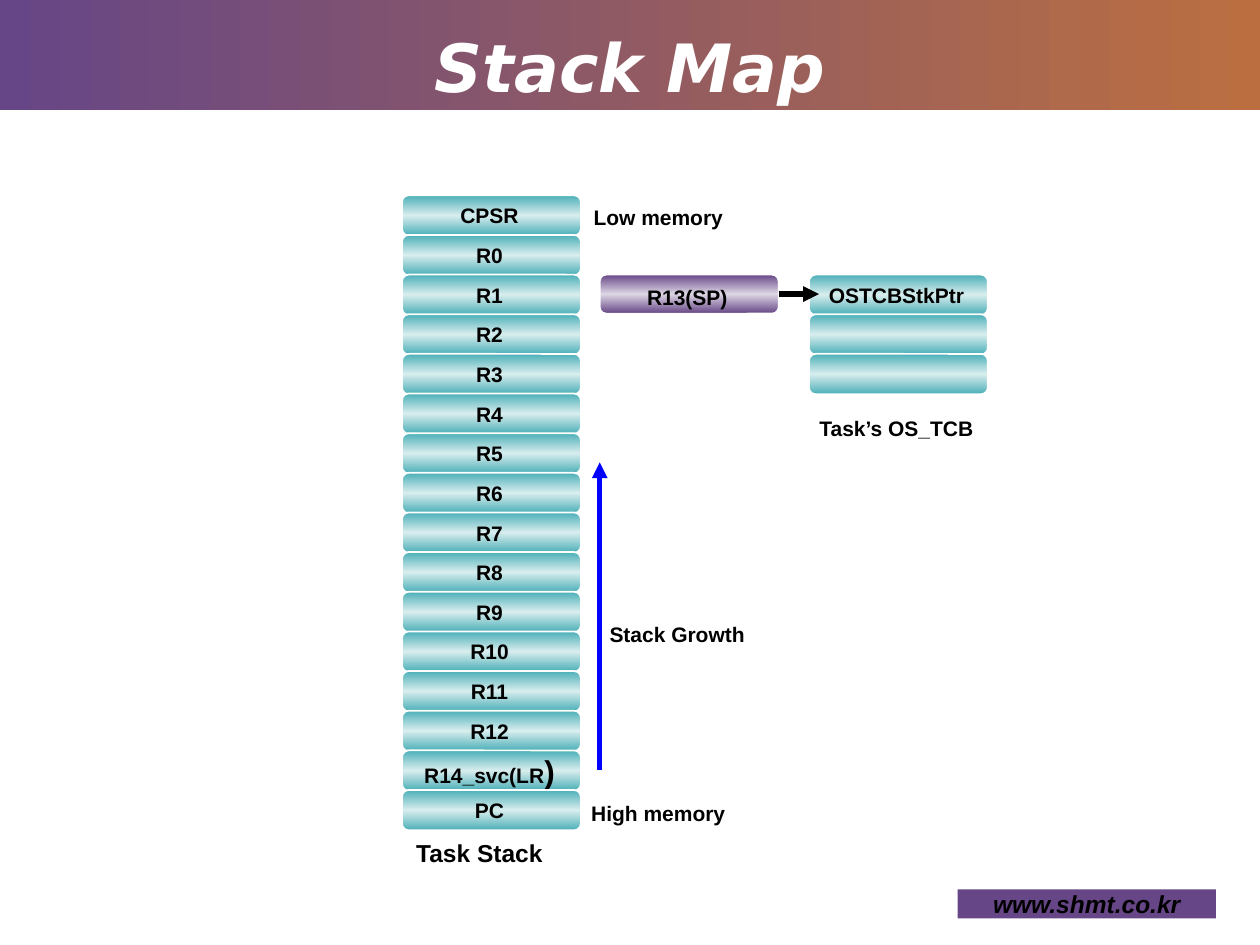
"""Build the Stack Map slide: a task stack, its stack pointer and the task's OS_TCB."""
from lxml import etree
from pptx import Presentation
from pptx.dml.color import RGBColor
from pptx.enum.shapes import MSO_CONNECTOR, MSO_SHAPE
from pptx.enum.text import MSO_ANCHOR, PP_ALIGN
from pptx.oxml import parse_xml
from pptx.oxml.ns import nsdecls, qn
from pptx.util import Inches, Pt

RECT = MSO_SHAPE.RECTANGLE
ROUNDED = MSO_SHAPE.ROUNDED_RECTANGLE
STRAIGHT = MSO_CONNECTOR.STRAIGHT
CENTER = PP_ALIGN.CENTER
MIDDLE = MSO_ANCHOR.MIDDLE

COLORS = {
    "teal": "4BAFB7", "teal_light": "D8EDEE",
    "purple": "664686", "purple_light": "DDD6E4",
    "orange": "BB6F41", "blue": "0000FF",
    "black": "000000", "white": "FFFFFF",
}
TEAL_BAND = ["teal", "teal_light", "teal"]
PURPLE_BAND = ["purple", "purple_light", "purple"]

prs = Presentation()
prs.slide_width, prs.slide_height = Inches(10), Inches(7.5)
slide = prs.slides.add_slide(prs.slide_layouts[6])
shapes = slide.shapes


def write(shape, *runs, size=12, font="Arial", color="black", italic=False,
          right=0, top=0):
    """Fill a shape with centred bold runs, each a string or a (string, size) pair."""
    frame = shape.text_frame
    frame.word_wrap = True
    frame.vertical_anchor = MIDDLE
    frame.margin_left = frame.margin_bottom = 0
    frame.margin_right, frame.margin_top = Inches(right), Inches(top)
    paragraph = frame.paragraphs[0]
    paragraph.alignment = CENTER
    for item in runs:
        text, points = (item, size) if isinstance(item, str) else item
        run = paragraph.add_run()
        run.text = text
        run.font.size = Pt(points)
        run.font.name = font
        run.font.bold = True
        run.font.italic = italic
        run.font.color.rgb = RGBColor.from_string(COLORS[color])
    return paragraph


def add_band(kind, left, top, width, height, stops, angle=90):
    """Add a shape with evenly spaced gradient stops; rounded ones get a white edge."""
    shape = shapes.add_shape(kind, Inches(left), Inches(top), Inches(width), Inches(height))
    shape.shadow.inherit = False
    if kind == ROUNDED:
        shape.line.color.rgb = RGBColor.from_string(COLORS["white"])
        shape.line.width = Pt(1)
    else:
        shape.line.fill.background()
    stop_xml = "".join(
        f'<a:gs pos="{100000 * i // (len(stops) - 1)}"><a:srgbClr val="{COLORS[name]}"/></a:gs>'
        for i, name in enumerate(stops))
    gradient = parse_xml(
        f'<a:gradFill {nsdecls("a")} rotWithShape="1"><a:gsLst>{stop_xml}</a:gsLst>'
        f'<a:lin ang="{angle * 60000}" scaled="0"/></a:gradFill>')
    shape._element.spPr.find(qn("a:prstGeom")).addnext(gradient)
    return shape


add_band(RECT, 0, 0, 10, 0.87, ["purple", "orange"], angle=0)
title = shapes.add_textbox(Inches(0), Inches(-0.11), Inches(10), Inches(1.26))
heading = write(title, "Stack Map", size=38, font="DejaVu Sans", color="white", italic=True)
text_shadow = parse_xml(
    f'<a:effectLst {nsdecls("a")}><a:outerShdw dist="35921" dir="2700000">'
    f'<a:srgbClr val="{COLORS["black"]}"/></a:outerShdw></a:effectLst>')
heading.runs[0].font._element.find(qn("a:solidFill")).addnext(text_shadow)

footer = shapes.add_shape(RECT, Inches(7.6), Inches(7.06), Inches(2.05), Inches(0.23))
footer.shadow.inherit = False
footer.fill.solid()
footer.fill.fore_color.rgb = RGBColor.from_string(COLORS["purple"])
footer.line.fill.background()
write(footer, "www.shmt.co.kr", size=14, italic=True)

CELL_W, CELL_H = 1.42, 0.32
STACK_TOP, STACK_LAST = 1.55, 6.27
registers = [["CPSR"], *[[f"R{n}"] for n in range(13)], ["R14_svc(LR", (")", 18)], ["PC"]]
pitch = (STACK_LAST - STACK_TOP) / (len(registers) - 1)
for row, register in enumerate(registers):
    cell = add_band(ROUNDED, 3.19, STACK_TOP + row * pitch, CELL_W, CELL_H, TEAL_BAND)
    write(cell, *register, right=0.03)

tcb_top = STACK_TOP + 2 * pitch
for row, field in enumerate(["OSTCBStkPtr", "", ""]):
    cell = add_band(ROUNDED, 6.42, tcb_top + row * pitch, CELL_W, CELL_H, TEAL_BAND)
    if field:
        write(cell, field, right=0.03)

stack_pointer = add_band(ROUNDED, 4.76, tcb_top, CELL_W, 0.31, PURPLE_BAND)
write(stack_pointer, "R13(SP)", right=0.03, top=0.04)

for caption, left, top, height, size in [
    ("Low memory", 4.61, 1.62, 0.2, 12),
    ("High memory", 4.61, 6.35, 0.2, 12),
    ("Stack Growth", 4.76, 4.93, 0.2, 12),
    ("Task Stack", 3.19, 6.65, 0.23, 14),
    ("Task’s OS_TCB", 6.5, 3.2, 0.4, 12),
]:
    label = shapes.add_textbox(Inches(left), Inches(top), Inches(1.23), Inches(height))
    write(label, caption, size=size)

pointer_y = stack_pointer.top + stack_pointer.height // 2
growth = shapes.add_connector(STRAIGHT, Inches(4.76), Inches(6.11), Inches(4.76), Inches(3.67))
pointer = shapes.add_connector(STRAIGHT, Inches(6.18), pointer_y, Inches(6.5), pointer_y)
pointer.begin_connect(stack_pointer, 3)
for arrow, color in [(growth, "blue"), (pointer, "black")]:
    arrow.line.color.rgb = RGBColor.from_string(COLORS[color])
    arrow.line.width = Pt(3)
    etree.SubElement(arrow.line._get_or_add_ln(), qn("a:tailEnd"), type="triangle")
    etree.SubElement(arrow._element.spPr, qn("a:effectLst"))

prs.save("out.pptx")
